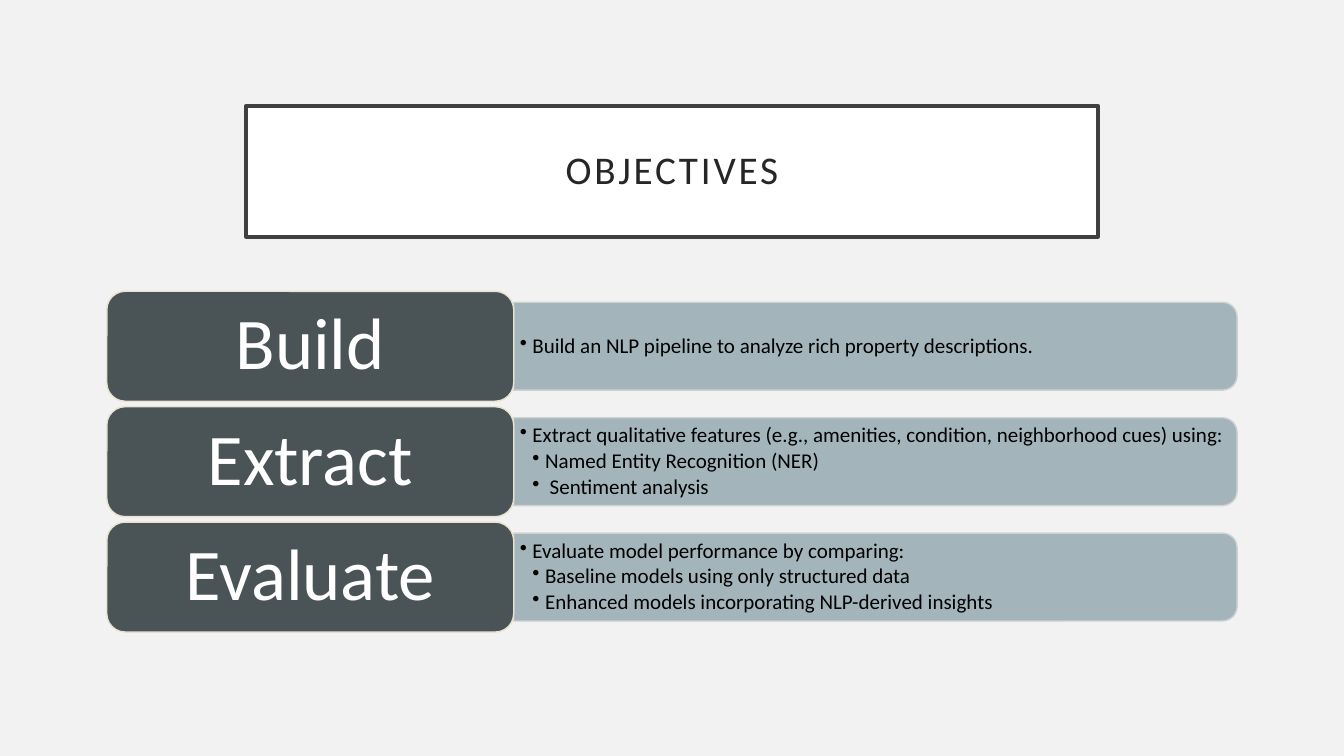
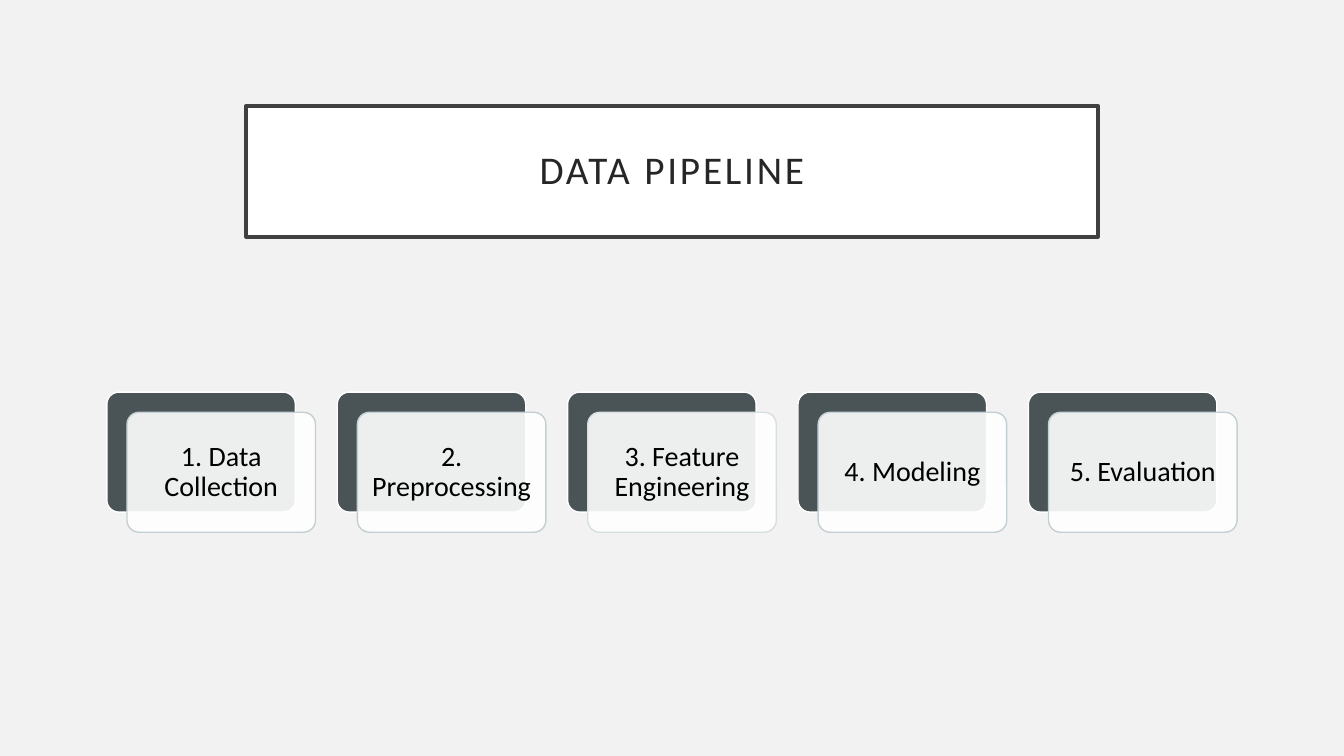
from lxml import etree
from pptx import Presentation
from pptx import util as u
from pptx.dml.color import RGBColor
from pptx.enum import shapes, text
from pptx.oxml.ns import qn
from pptx.text.text import Font

PAPER = RGBColor(0xF2, 0xF2, 0xF2)
WHITE = RGBColor(0xFF, 0xFF, 0xFF)
BLACK = RGBColor(0x00, 0x00, 0x00)
INK = RGBColor(0x26, 0x26, 0x26)
FRAME = RGBColor(0x40, 0x40, 0x40)
SLATE = RGBColor(0x4A, 0x53, 0x56)
MIST = RGBColor(0x9B, 0xAF, 0xB5)
SILVER = RGBColor(0xD0, 0xD1, 0xD1)
CREAM = RGBColor(0xE8, 0xE3, 0xCE)
CARD_EDGE = RGBColor(0xC3, 0xCF, 0xD3)
PALE_EDGE = RGBColor(0xD7, 0xDF, 0xE1)
FONT = "Calibri"

WIDTH, HEIGHT = 13.33, 7.5
LEFT = 1.06
CONTENT = WIDTH - 2 * LEFT


def add_box(slide, kind, frame, fill, edge, opacity=100):
    """Add a preset shape; frame is left, top, width, height in inches."""
    box = slide.shapes.add_shape(kind, *map(u.Inches, frame))
    box.shadow.inherit = False
    box.fill.solid()
    box.fill.fore_color.rgb = fill
    box.line.color.rgb = edge
    box.line.width = u.Pt(1)
    if opacity < 100:
        colour = box._element.spPr.find(qn("a:solidFill"))[0]
        etree.SubElement(colour, qn("a:alpha"), val=str(opacity * 1000))
    return box


def write(shape, lines, size, colour, insets, align, space_after):
    """Fill a shape with paragraphs; space_after is a share of the text size."""
    frame = shape.text_frame
    frame.word_wrap = True
    frame.vertical_anchor = text.MSO_ANCHOR.MIDDLE
    frame.margin_left = frame.margin_right = u.Inches(insets[0])
    frame.margin_top = frame.margin_bottom = u.Inches(insets[1])
    frame.text = "\n".join(lines)
    for paragraph in frame.paragraphs:
        paragraph.alignment = align
        paragraph.line_spacing = 0.9
        paragraph.space_after = u.Pt(size * space_after)
        paragraph.font.size = u.Pt(size)
        for run in paragraph.runs:
            run.font.name, run.font.size = FONT, u.Pt(size)
            run.font.color.rgb = colour


prs = Presentation()
prs.slide_width, prs.slide_height = u.Inches(WIDTH), u.Inches(HEIGHT)

# Shared look: background, title text and framed title box
master = prs.slide_master
master.background.fill.solid()
master.background.fill.fore_color.rgb = PAPER

title_defaults = master._element.find(".//" + qn("p:titleStyle")).find(".//" + qn("a:defRPr"))
title_defaults.set("spc", "200")
title_font = Font(title_defaults)
title_font.name, title_font.size = FONT, u.Pt(28)
title_font.color.rgb = INK

layout = prs.slide_layouts.get_by_name("Title Only")
heading = layout.placeholders[0]
heading_place = {"left": 2.44, "top": 1.05, "width": WIDTH - 2 * 2.44, "height": 1.3}
for side, length in heading_place.items():
    setattr(heading, side, u.Inches(length))
heading.fill.solid()
heading.fill.fore_color.rgb = WHITE
heading.line.color.rgb = FRAME
heading.line.width = u.Pt(2.5)
heading.text_frame.vertical_anchor = text.MSO_ANCHOR.MIDDLE
for side in ("left", "top", "right", "bottom"):
    setattr(heading.text_frame, f"margin_{side}", u.Inches(0.2))

objectives, pipeline = [prs.slides.add_slide(layout) for _ in range(2)]
for slide, title in ((objectives, "OBJECTIVES"), (pipeline, "DATA PIPELINE")):
    slide.shapes.title.text = title
    slide.shapes.title.text_frame.paragraphs[0].line_spacing = 0.9

# Objectives: a label and a band of details per row
GOALS = {
    "Build": ["Build an NLP pipeline to analyze rich property descriptions."],
    "Extract": [
        "Extract qualitative features (e.g., amenities, condition, neighborhood cues) using:",
        "Named Entity Recognition (NER)",
        " Sentiment analysis",
    ],
    "Evaluate": [
        "Evaluate model performance by comparing:",
        "Baseline models using only structured data",
        "Enhanced models incorporating NLP-derived insights",
    ],
}
ROW_TOP, ROW_PITCH, LABEL_HEIGHT = 2.89, 1.145, 1.09
BAND_HEIGHT = 0.8 * LABEL_HEIGHT
LABEL_WIDTH, BAND_WIDTH = 0.36 * CONTENT, 0.64 * CONTENT
BAND_LEFT = LEFT + LABEL_WIDTH

for row, (goal, details) in enumerate(GOALS.items()):
    top = ROW_TOP + row * ROW_PITCH
    middle = top + LABEL_HEIGHT / 2
    # The band stands upright before its quarter turn
    upright = (BAND_LEFT + (BAND_WIDTH - BAND_HEIGHT) / 2, middle - BAND_WIDTH / 2,
               BAND_HEIGHT, BAND_WIDTH)
    band = add_box(objectives, shapes.MSO_SHAPE.ROUND_2_SAME_RECTANGLE, upright,
                   MIST, SILVER, opacity=90)
    band.rotation = 90

    detail_box = objectives.shapes.add_textbox(
        *map(u.Inches, (BAND_LEFT, middle - 0.395, BAND_WIDTH - 0.04, 0.79)))
    write(detail_box, details, 15, BLACK, (0.06, 0.03), text.PP_ALIGN.LEFT, 0.15)
    for rank, paragraph in enumerate(detail_box.text_frame.paragraphs):
        level = 1 if rank == 0 else 2
        paragraph.level = level
        properties = paragraph._p.get_or_add_pPr()
        properties.set("marL", str(u.Inches(0.125 * level)))
        properties.set("indent", str(u.Inches(-0.125)))
        etree.SubElement(properties, qn("a:buChar"), char="•")

    label = add_box(objectives, shapes.MSO_SHAPE.ROUNDED_RECTANGLE,
                    (LEFT, top, LABEL_WIDTH, LABEL_HEIGHT), SLATE, CREAM)
    write(label, [goal], 52, WHITE, (0.22, 0.11), text.PP_ALIGN.CENTER, 0.35)

# Data pipeline: five cards, each over a dark backing
STEPS = [
    ("1. Data Collection", CARD_EDGE),
    ("2. Preprocessing", CARD_EDGE),
    ("3. Feature Engineering", PALE_EDGE),
    ("4. Modeling", CARD_EDGE),
    ("5. Evaluation", CARD_EDGE),
]
CARD_WIDTH, CARD_HEIGHT, CARD_TOP, CARD_SHIFT = 1.87, 1.19, 3.89, 0.2
CARD_PITCH = (CONTENT - CARD_WIDTH - CARD_SHIFT) / (len(STEPS) - 1)

for column, (step, card_edge) in enumerate(STEPS):
    left = LEFT + column * CARD_PITCH
    backing, card = [
        add_box(pipeline, shapes.MSO_SHAPE.ROUNDED_RECTANGLE,
                (left + shift, CARD_TOP + shift, CARD_WIDTH, CARD_HEIGHT), fill, edge, opacity)
        for shift, fill, edge, opacity in ((0, SLATE, WHITE, 100),
                                           (CARD_SHIFT, WHITE, card_edge, 90))
    ]
    backing.adjustments[0] = card.adjustments[0] = 0.1
    write(card, [step], 20, BLACK, (0.08, 0.08), text.PP_ALIGN.CENTER, 0.35)

prs.save("out.pptx")
